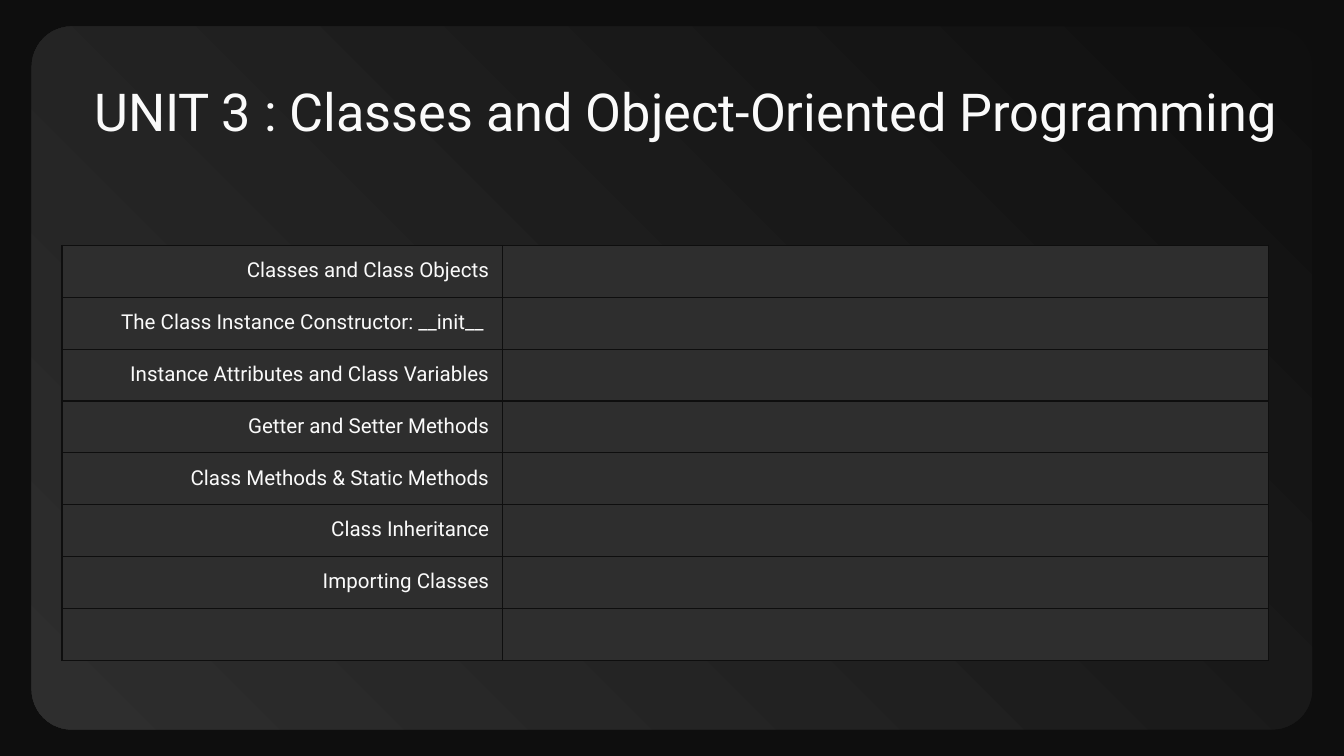
from lxml.etree import SubElement
from pptx import Presentation
from pptx.dml.color import RGBColor as RGB
from pptx.enum.shapes import MSO_SHAPE as SHAPE
from pptx.enum.text import MSO_ANCHOR as ANCHOR, PP_ALIGN as ALIGN
from pptx.oxml.ns import qn
from pptx.util import Cm, Pt

BLACK = RGB(0x0E, 0x0E, 0x0E)
DARK = RGB(0x0F, 0x0F, 0x0F)
GREY = RGB(0x2E, 0x2E, 0x2E)
WHITE = RGB(0xFA, 0xFA, 0xFA)
FONT = "Roboto"
TOPICS = [
    "Classes and Class Objects",
    "The Class Instance Constructor: __init__ ",
    "Instance Attributes and Class Variables",
    "Getter and Setter Methods",
    "Class Methods & Static Methods",
    "Class Inheritance",
    "Importing Classes",
    "",
]


def style(par, size, align):
    par.alignment = align
    for run in par.runs:
        run.font.name = FONT
        run.font.size = Pt(size)
        run.font.color.rgb = WHITE


def border(cell):
    props = cell._tc.get_or_add_tcPr()
    for side in ("a:lnL", "a:lnR", "a:lnT", "a:lnB"):
        line = SubElement(props, qn(side), w=str(Pt(0.75)))
        fill = SubElement(line, qn("a:solidFill"))
        SubElement(fill, qn("a:srgbClr"), val=str(BLACK))


deck = Presentation()
deck.slide_width, deck.slide_height = Cm(25.4), Cm(14.29)
slide = deck.slides.add_slide(deck.slide_layouts[5])
slide.background.fill.solid()
slide.background.fill.fore_color.rgb = BLACK

panel = slide.shapes.add_shape(
    SHAPE.ROUNDED_RECTANGLE, Cm(0.6), Cm(0.5), Cm(24.2), Cm(13.29))
panel.adjustments[0] = 0.057
panel.shadow.inherit = False
panel.line.fill.background()
panel.fill.gradient()
panel.fill.gradient_angle = 225
for stop, color in zip(panel.fill.gradient_stops, (DARK, GREY)):
    stop.color.rgb = color

title = slide.shapes.title
slide.shapes._spTree.append(title._element)
title.left, title.top = Cm(1.17), Cm(1.25)
title.width, title.height = Cm(23.57), Cm(1.6)
frame = title.text_frame
frame.text = "UNIT 3 : Classes and Object-Oriented Programming"
frame.word_wrap = True
frame.vertical_anchor = ANCHOR.TOP
frame.margin_left = frame.margin_right = Cm(0.25)
frame.margin_top = frame.margin_bottom = Cm(0.25)
style(frame.paragraphs[0], 28, ALIGN.CENTER)

table = slide.shapes.add_table(
    len(TOPICS), 2, Cm(1.17), Cm(4.64), Cm(22.8), Cm(7.8)).table
table.first_row = table.horz_banding = False
table.columns[0].width = Cm(8.33)
table.columns[1].width = Cm(14.47)
for row, topic in zip(table.rows, TOPICS):
    for cell, text in zip(row.cells, (topic, "")):
        border(cell)
        cell.fill.solid()
        cell.fill.fore_color.rgb = GREY
        cell.margin_left = cell.margin_right = Cm(0.25)
        cell.margin_top = cell.margin_bottom = Cm(0.25)
        par = cell.text_frame.paragraphs[0]
        par.text = text
        style(par, 11, ALIGN.RIGHT)
        SubElement(par._p, qn("a:endParaRPr"), sz="1100")

deck.save("out.pptx")
